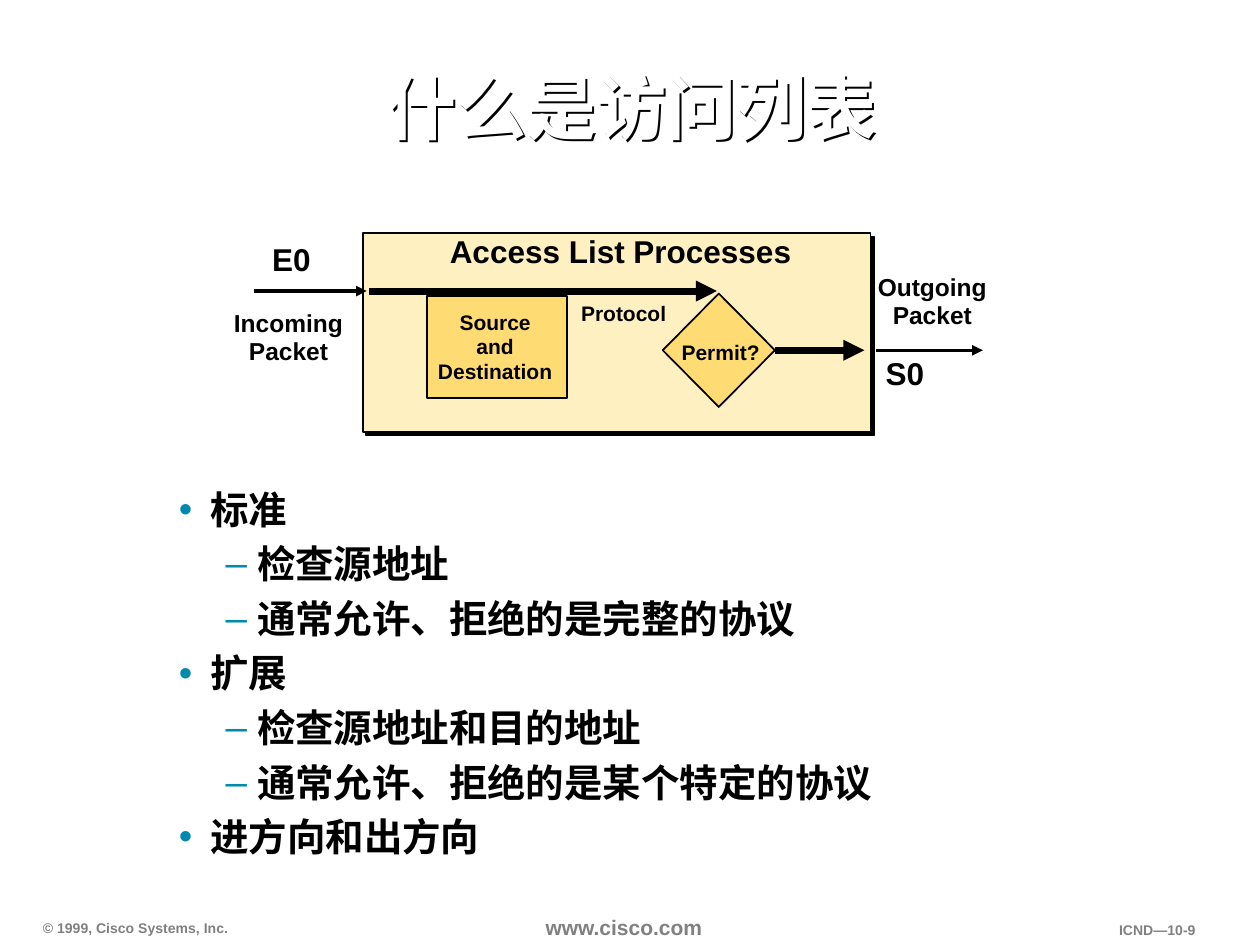
from collections import namedtuple

from lxml import etree
from pptx import Presentation
from pptx.dml.color import RGBColor
from pptx.enum.shapes import MSO_CONNECTOR, MSO_SHAPE
from pptx.enum.text import MSO_ANCHOR, PP_ALIGN
from pptx.oxml.ns import qn
from pptx.util import Inches, Pt

RECTANGLE = MSO_SHAPE.RECTANGLE
STRAIGHT = MSO_CONNECTOR.STRAIGHT
TOP, MIDDLE = MSO_ANCHOR.TOP, MSO_ANCHOR.MIDDLE
LEFT, CENTER, RIGHT = PP_ALIGN.LEFT, PP_ALIGN.CENTER, PP_ALIGN.RIGHT

BLACK = RGBColor(0x00, 0x00, 0x00)
WHITE = RGBColor(0xFF, 0xFF, 0xFF)
GRAY = RGBColor(0x80, 0x80, 0x80)
TEAL = RGBColor(0x00, 0x8A, 0xAE)
CREAM = RGBColor(0xFF, 0xF0, 0xC2)
GOLD = RGBColor(0xFF, 0xDB, 0x74)

SLIDE_WIDTH, SLIDE_HEIGHT = Inches(10), Inches(7.5)
COLUMNS, ROWS = 100, 75
FONT = "Arial"
LABEL_INSETS = (0.02, 0.03)
BODY_INSETS = (0.08, 0.04)
EDGE_INSETS = (0.09, 0.04)


class Box(namedtuple("Box", "left top width height")):
    def area(self, column, row, width, height):
        return Box(self.left + column, self.top + row, width, height)

    def point(self, column, row):
        return across(self.left + column), down(self.top + row)

    def lengths(self):
        return (across(self.left), down(self.top),
                across(self.width), down(self.height))


def across(columns):
    return round(SLIDE_WIDTH * columns / COLUMNS)


def down(rows):
    return round(SLIDE_HEIGHT * rows / ROWS)


def add_child(parent, tag, **attributes):
    return etree.SubElement(parent, qn(tag), attributes)


def cast_shadow(shape, distance):
    effects = add_child(shape._element.spPr, "a:effectLst")
    shadow = add_child(effects, "a:outerShdw", dist=str(Pt(distance)),
                       dir="2700000", algn="ctr", rotWithShape="0")
    add_child(shadow, "a:srgbClr", val=str(BLACK))


def add_run(paragraph, text, size, color):
    run = paragraph.add_run()
    run.text = text
    run.font.name = FONT
    run.font.size = Pt(size)
    run.font.bold = True
    run.font.color.rgb = color


def add_frame(slide, box, insets, anchor=TOP):
    holder = slide.shapes.add_textbox(*box.lengths())
    frame = holder.text_frame
    frame.word_wrap = True
    frame.vertical_anchor = anchor
    frame.margin_left = frame.margin_right = Inches(insets[0])
    frame.margin_top = frame.margin_bottom = Inches(insets[1])
    return holder


def add_text(slide, box, lines, size, color=BLACK, align=CENTER,
             spacing=None, insets=LABEL_INSETS, anchor=TOP):
    holder = add_frame(slide, box, insets, anchor)
    frame = holder.text_frame
    for index, line in enumerate(lines):
        paragraph = frame.add_paragraph() if index else frame.paragraphs[0]
        paragraph.alignment = align
        paragraph.line_spacing = spacing
        add_run(paragraph, line, size, color)
    return holder


def paint(shape, fill):
    shape.shadow.inherit = False
    shape.fill.solid()
    shape.fill.fore_color.rgb = fill
    shape.line.color.rgb = BLACK
    shape.line.width = Pt(1)


def add_block(slide, box, fill):
    block = slide.shapes.add_shape(RECTANGLE, *box.lengths())
    paint(block, fill)
    return block


def add_arrow(slide, box, start, end, row, width):
    arrow = slide.shapes.add_connector(
        STRAIGHT, *box.point(start, row), *box.point(end, row))
    arrow.line.color.rgb = BLACK
    arrow.line.width = Pt(width)
    add_child(arrow.line._get_or_add_ln(), "a:tailEnd", type="triangle")
    add_child(arrow._element.spPr, "a:effectLst")


def add_decision(slide, box):
    middle, center = box.width / 2, box.height / 2
    builder = slide.shapes.build_freeform(*box.point(0, center), scale=1.0)
    builder.add_line_segments([
        box.point(middle, 0),
        box.point(box.width, center),
        box.point(middle, box.height),
    ], close=True)
    paint(builder.convert_to_shape(), GOLD)
    add_text(slide, box.area(0.1, 3.4, 9, 4.7), ["Permit?"], 12,
             spacing=Pt(14))


def draw_title(slide, box):
    title = add_text(slide, box, ["什么是访问列表"], 40, WHITE, spacing=0.9,
                     insets=EDGE_INSETS, anchor=MIDDLE)
    title.fill.background()
    cast_shadow(title, 2)


def draw_process(slide, box):
    process = add_block(slide, box.area(11.3, 0, 40.3, 15.8), CREAM)
    process._element.spPr.remove(process._element.spPr.find(qn("a:effectLst")))
    cast_shadow(process, 2.8)

    entry_row, exit_row = 4.6, 9.3
    for start, end, row, width in [
        (2.7, 11.6, entry_row, 2),
        (11.8, 39.4, entry_row, 4),
        (44, 51.1, exit_row, 4),
        (52, 60.5, exit_row, 2),
    ]:
        add_arrow(slide, box, start, end, row, width)

    add_block(slide, box.area(16.4, 5, 11.1, 8.1), GOLD)
    add_decision(slide, box.area(35.1, 4.8, 8.9, 9))

    for place, lines, size, pitch, align in [
        ((18, -0.3, 34.4, 5.7), ["Access List Processes"], 18, 21, LEFT),
        ((3.9, 0.3, 5.7, 5.1), ["E0"], 18, 21, LEFT),
        ((52.6, 9.4, 5.7, 5.1), ["S0"], 18, 21, LEFT),
        ((0, 5.8, 10.8, 6.7), ["Incoming", "Packet"], 14, 16, CENTER),
        ((51.1, 2.9, 10.8, 6.7), ["Outgoing", "Packet"], 14, 16, CENTER),
        ((15.6, 5.8, 12.4, 7.5), ["Source", "and", "Destination"],
         12, 14, CENTER),
        ((26.7, 5.1, 10.6, 4.7), ["Protocol"], 12, 14, CENTER),
    ]:
        add_text(slide, box.area(*place), lines, size, align=align,
                 spacing=Pt(pitch))


def draw_points(slide, box):
    points = [
        (0, "标准"),
        (1, "检查源地址"),
        (1, "通常允许、拒绝的是完整的协议"),
        (0, "扩展"),
        (1, "检查源地址和目的地址"),
        (1, "通常允许、拒绝的是某个特定的协议"),
        (0, "进方向和出方向"),
    ]
    frame = add_frame(slide, box, BODY_INSETS).text_frame
    for index, (level, point) in enumerate(points):
        paragraph = frame.add_paragraph() if index else frame.paragraphs[0]
        paragraph.level = level
        paragraph.line_spacing = 0.85
        properties = paragraph._p.get_or_add_pPr()
        properties.set("marL", str(Inches((0.38, 0.75)[level])))
        properties.set("indent", str(Inches(-0.25)))
        if index:
            before = add_child(properties, "a:spcBef")
            add_child(before, "a:spcPct", val="40000")
        bullet_color = add_child(properties, "a:buClr")
        add_child(bullet_color, "a:srgbClr", val=str(TEAL))
        add_child(properties, "a:buFont", typeface=FONT)
        add_child(properties, "a:buChar", char="•–"[level])
        add_run(paragraph, point, 22, BLACK)


def draw_footer(slide, box):
    for place, text, size, align, insets in [
        ((0, 0.4, 16.9, 2.2), "© 1999, Cisco Systems, Inc.", 8, LEFT,
         EDGE_INSETS),
        ((40, 0, 15, 2.8), "www.cisco.com", 12, LEFT, BODY_INSETS),
        ((84.7, 0.5, 8.6, 2.2), "ICND—10-9", 8, RIGHT, EDGE_INSETS),
    ]:
        add_text(slide, box.area(*place), [text], size, GRAY, align,
                 insets=insets)


def main():
    deck = Presentation()
    deck.slide_width, deck.slide_height = SLIDE_WIDTH, SLIDE_HEIGHT
    slide = deck.slides.add_slide(deck.slide_layouts[6])
    draw_footer(slide, Box(2.5, 72.2, 93.3, 2.8))
    draw_points(slide, Box(12.1, 38.7, 81.1, 28.5))
    draw_process(slide, Box(17.5, 18.5, 62, 15.8))
    draw_title(slide, Box(8.4, 2.6, 83.4, 12.5))
    deck.save("out.pptx")


if __name__ == "__main__":
    main()
